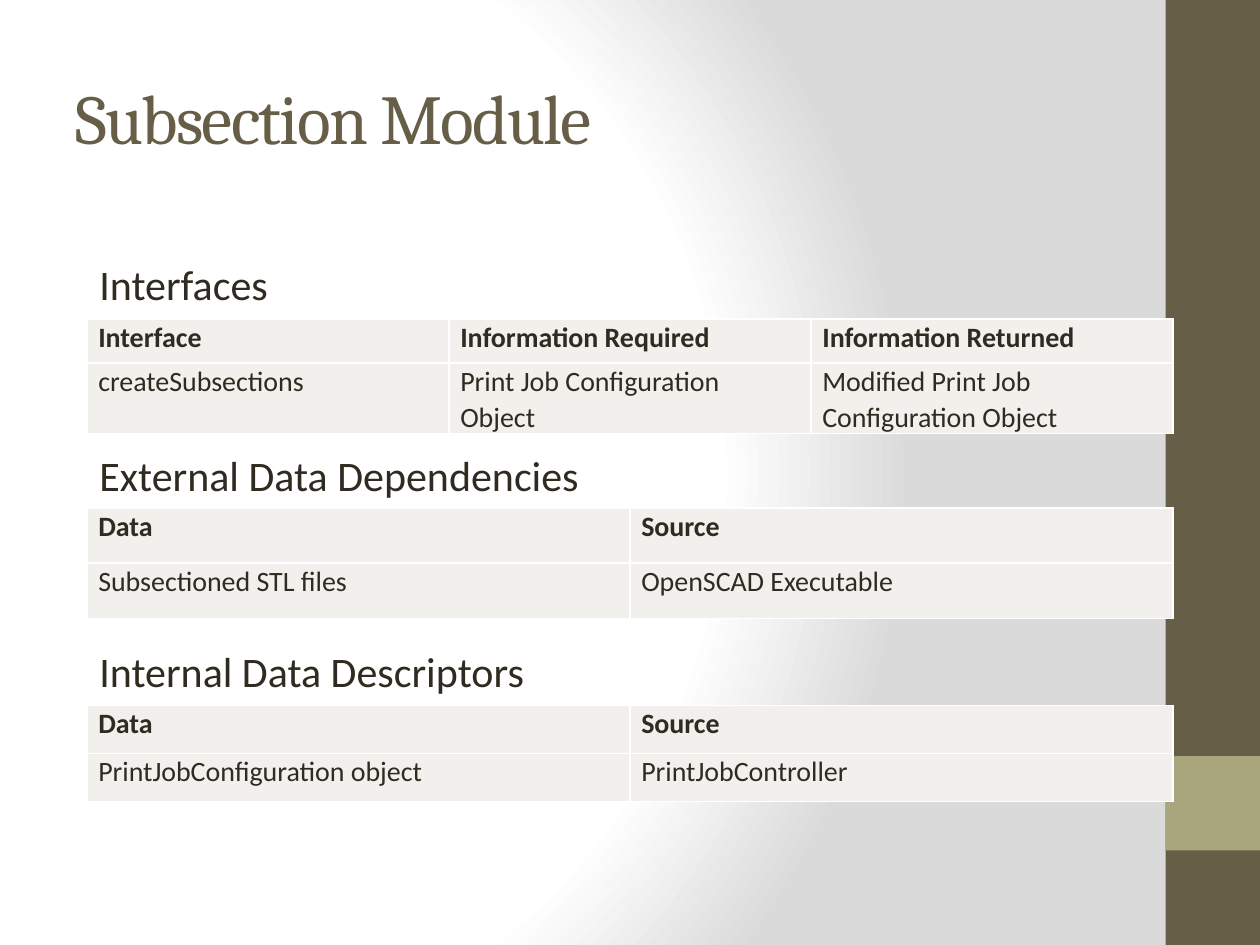
from dataclasses import dataclass

from pptx import Presentation
from pptx.dml.color import RGBColor
from pptx.enum.shapes import MSO_SHAPE
from pptx.enum.text import MSO_ANCHOR, PP_ALIGN
from pptx.oxml import parse_xml
from pptx.oxml.ns import nsdecls, qn
from pptx.util import Inches, Pt


@dataclass(frozen=True)
class Theme:
    heading_font: str = "Cambria"
    body_font: str = "Calibri"
    title_size: int = 40
    heading_size: int = 24
    table_size: int = 16
    brown: str = "675E47"
    olive: str = "A9A57C"
    ink: str = "2F2B20"
    cell: str = "F1F0EC"
    border: str = "FFFFFF"
    # Background colour at each percentage of the gradient
    backdrop: tuple = ((0, "FFFFFF"), (75, "FFFFFF"), (100, "DADADA"))


class SlideBuilder:
    def __init__(self, page, theme):
        self.page = page
        self.theme = theme

    def background(self):
        self.page.background.fill.gradient()
        gradient = self.page.element.find(".//" + qn("a:gradFill"))
        stops = "".join(
            f'<a:gs pos="{percent * 1000}"><a:srgbClr val="{color}"/></a:gs>'
            for percent, color in self.theme.backdrop)
        radial = parse_xml(
            f'<a:gradFill {nsdecls("a")} rotWithShape="1"><a:gsLst>{stops}</a:gsLst>'
            '<a:path path="circle">'
            '<a:fillToRect l="20000" t="50000" r="100000" b="50000"/>'
            '</a:path></a:gradFill>')
        gradient.getparent().replace(gradient, radial)

    def block(self, left, top, width, height, color):
        shape = self.page.shapes.add_shape(
            MSO_SHAPE.RECTANGLE, Inches(left), Inches(top), Inches(width), Inches(height))
        shape.shadow.inherit = False
        shape.fill.solid()
        shape.fill.fore_color.rgb = RGBColor.from_string(color)
        shape.line.fill.background()

    def style(self, para, font, size, color, bold=False):
        para.font.name = font
        para.font.size = Pt(size)
        para.font.bold = bold
        para.font.color.rgb = RGBColor.from_string(color)

    def text(self, left, top, width, height, words):
        box = self.page.shapes.add_textbox(
            Inches(left), Inches(top), Inches(width), Inches(height))
        box.text_frame.word_wrap = True
        para = box.text_frame.paragraphs[0]
        para.text = words
        return box.text_frame, para

    def title(self, words):
        frame, para = self.text(0.5, 0.3, 8.33, 1.25, words)
        frame.vertical_anchor = MSO_ANCHOR.MIDDLE
        self.style(para, self.theme.heading_font, self.theme.title_size, self.theme.brown)
        # Tighten the letters by one point
        para.runs[0].font._element.set("spc", "-100")

    def heading(self, top, words, line_spacing):
        _, para = self.text(0.69, top, 8.62, 0.47, words)
        para.line_spacing = line_spacing
        self.style(para, self.theme.body_font, self.theme.heading_size, self.theme.ink)

    def table(self, top, row_heights, rows):
        width = 8.62
        columns = len(rows[0])
        table = self.page.shapes.add_table(
            len(rows), columns, Inches(0.69), Inches(top),
            Inches(width), Inches(sum(row_heights))).table
        for column in table.columns:
            column.width = Inches(width / columns)
        for row, height in zip(table.rows, row_heights):
            row.height = Inches(height)
        for row_index, row in enumerate(rows):
            for column_index, words in enumerate(row):
                self.cell(table.cell(row_index, column_index), words, row_index == 0)

    def cell(self, cell, words, bold):
        cell.margin_left = cell.margin_right = Inches(0.09)
        cell.margin_top = cell.margin_bottom = 0
        para = cell.text_frame.paragraphs[0]
        para.text = words
        para.alignment = PP_ALIGN.JUSTIFY if bold else PP_ALIGN.LEFT
        para.line_spacing = 1.05
        para.space_after = Pt(8)
        self.style(para, self.theme.body_font, self.theme.table_size, self.theme.ink, bold)
        # Borders come before the fill in the cell properties
        properties = cell._tc.get_or_add_tcPr()
        for side in ("lnL", "lnR", "lnT", "lnB"):
            properties.append(parse_xml(
                f'<a:{side} {nsdecls("a")} w="12700"><a:solidFill>'
                f'<a:srgbClr val="{self.theme.border}"/></a:solidFill></a:{side}>'))
        cell.fill.solid()
        cell.fill.fore_color.rgb = RGBColor.from_string(self.theme.cell)


def main():
    deck = Presentation()
    deck.slide_width, deck.slide_height = Inches(10), Inches(7.5)
    page = deck.slides.add_slide(deck.slide_layouts[6])
    theme = Theme()
    builder = SlideBuilder(page, theme)

    # Backdrop and side band
    builder.background()
    builder.block(9.25, 0, 0.75, 7.5, theme.brown)
    builder.block(9.25, 6, 0.75, 0.75, theme.olive)

    builder.title("Subsection Module")

    # Sections: heading top, heading, line spacing, table top, row heights, rows
    sections = [
        (2, "Interfaces", 1.0, 2.53, (0.35, 0.54), [
            ("Interface", "Information Required", "Information Returned"),
            ("createSubsections", "Print Job Configuration Object",
             "Modified Print Job Configuration Object")]),
        (3.56, "External Data Dependencies", 0.9, 4.03, (0.44, 0.44), [
            ("Data", "Source"),
            ("Subsectioned STL files", "OpenSCAD Executable")]),
        (5.12, "Internal Data Descriptors", 0.9, 5.6, (0.38, 0.38), [
            ("Data", "Source"),
            ("PrintJobConfiguration object", "PrintJobController")]),
    ]
    for heading_top, heading, spacing, table_top, row_heights, rows in sections:
        builder.heading(heading_top, heading, spacing)
        builder.table(table_top, row_heights, rows)

    deck.save("out.pptx")


if __name__ == "__main__":
    main()
